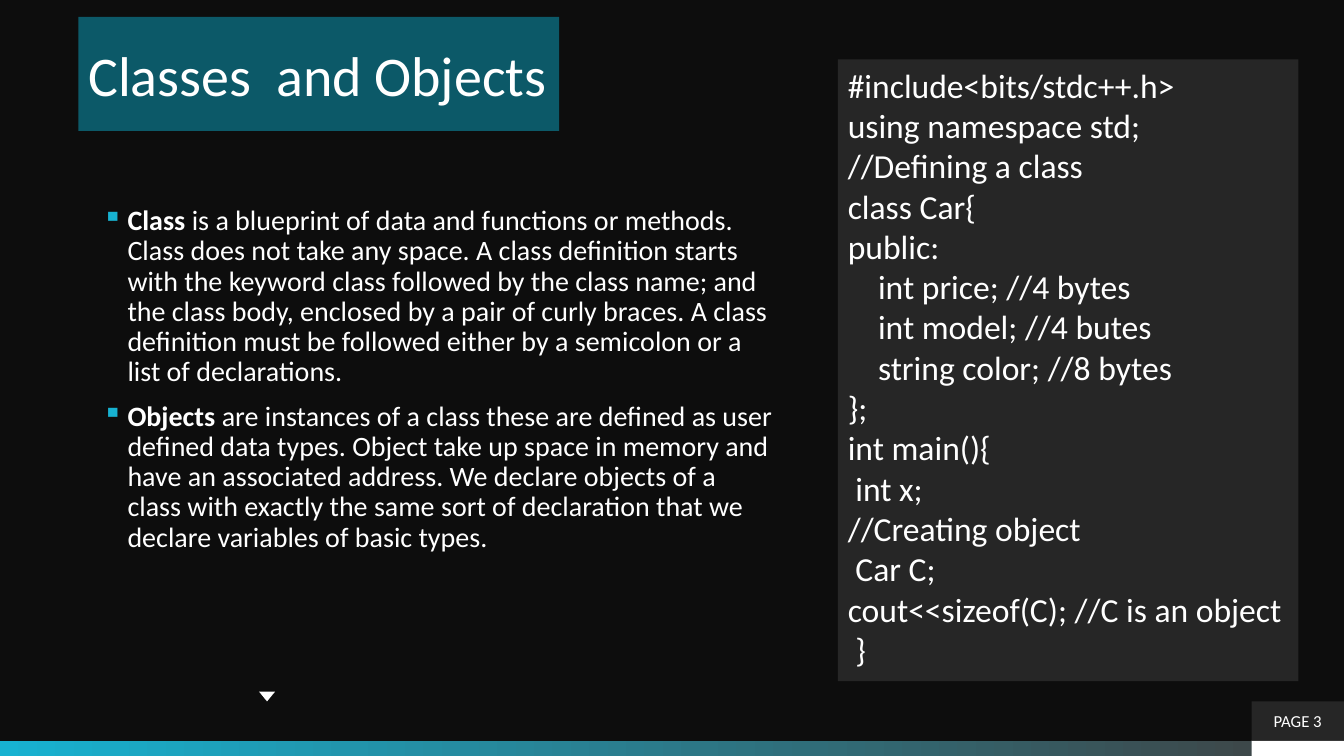
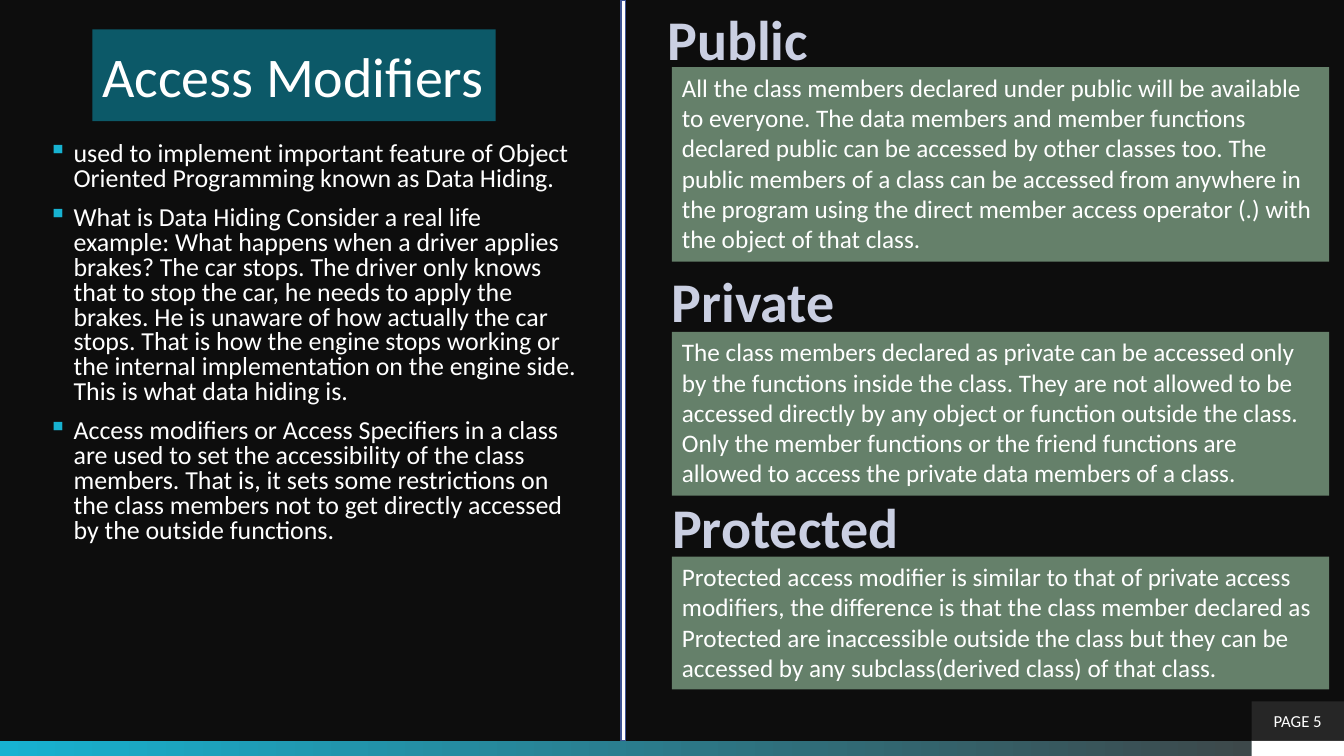
from lxml.etree import SubElement
from pptx import Presentation
from pptx.dml.color import RGBColor
from pptx.enum.shapes import MSO_SHAPE as Preset
from pptx.enum.text import MSO_ANCHOR as Anchor, PP_ALIGN as Align
from pptx.oxml.ns import qn
from pptx.util import Pt

# Shared look
FONT = "Calibri"
BACKGROUND = RGBColor(0x0D, 0x0D, 0x0D)
WHITE = RGBColor(0xFF, 0xFF, 0xFF)
CYAN = RGBColor(0x17, 0xB2, 0xD1)
GRAY = RGBColor(0x40, 0x40, 0x40)
PANEL = RGBColor(0x26, 0x26, 0x26)
TEAL = RGBColor(0x0C, 0x59, 0x68)
GREEN = RGBColor(0x65, 0x80, 0x6A)
LAVENDER = RGBColor(0xCA, 0xCF, 0xE2)
DIVIDER_EDGE = RGBColor(0x3D, 0x53, 0x92)

WIDTH, HEIGHT = 960, 540
BAND_TOP, BAND_HEIGHT = 529, 11
BADGE_WIDTH, BADGE_HEIGHT = 66, 28
BULLET_INDENT = 18
CARD_LEFT, CARD_WIDTH, CARD_LINE, CARD_PADDING = 480, 469.5, 22, 7

# Content: bullets are (bold lead, text); code lines are (indent, text)
CLASS_BULLETS = [
    ("Class", " is a blueprint of data and functions or methods. Class does not "
     "take any space. A class definition starts with the keyword class followed "
     "by the class name; and the class body, enclosed by a pair of curly braces. "
     "A class definition must be followed either by a semicolon or a list of "
     "declarations."),
    ("Objects", " are instances of a class these are defined as user defined data "
     "types. Object take up space in memory and have an associated address. We "
     "declare objects of a class with exactly the same sort of declaration that "
     "we declare variables of basic types."),
]
CODE_LINES = [
    (0, "#include<bits/stdc++.h>"),
    (0, "using namespace std;"),
    (0, "//Defining a class"),
    (0, "class Car{"),
    (0, "public:"),
    (4, "int price; //4 bytes"),
    (4, "int model; //4 butes"),
    (4, "string color; //8 bytes"),
    (0, "};"),
    (0, "int main(){"),
    (1, "int x;"),
    (0, "//Creating object"),
    (1, "Car C;"),
    (0, "cout<<sizeof(C); //C is an object"),
    (1, "}"),
]
CODE_INDENT = 5.4
MODIFIER_BULLETS = [
    ("", "used to implement important feature of Object Oriented Programming known "
     "as Data Hiding."),
    ("", "What is Data Hiding Consider a real life example: What happens when a "
     "driver applies brakes? The car stops. The driver only knows that to stop the "
     "car, he needs to apply the brakes. He is unaware of how actually the car "
     "stops. That is how the engine stops working or the internal implementation "
     "on the engine side. This is what data hiding is."),
    ("", "Access modifiers or Access Specifiers in a class are used to set the "
     "accessibility of the class members. That is, it sets some restrictions on "
     "the class members not to get directly accessed by the outside functions."),
]
# Heading, its left, top and width, card top, card line count, card text
MODIFIERS = [
    ("Public", 444, 0, 166, 48, 6,
     "All the class members declared under public will be available to everyone. "
     "The data members and member functions declared public can be accessed by "
     "other classes too. The public members of a class can be accessed from "
     "anywhere in the program using the direct member access operator (.) with the "
     "object of that class."),
    ("Private", 472, 187, 132, 237, 5,
     "The class members declared as private can be accessed only by the functions "
     "inside the class. They are not allowed to be accessed directly by any object "
     "or function outside the class. Only the member functions or the friend "
     "functions are allowed to access the private data members of a class."),
    ("Protected", 472, 348, 178, 397.5, 4,
     "Protected access modifier is similar to that of private access modifiers, "
     "the difference is that the class member declared as Protected are "
     "inaccessible outside the class but they can be accessed by any "
     "subclass(derived class) of that class."),
]


def style_run(run, size, color=WHITE, bold=False):
    run.font.name = FONT
    run.font.size = Pt(size)
    run.font.color.rgb = color
    run.font.bold = bold


def set_text(shape, text, size, anchor=Anchor.TOP, align=Align.LEFT,
             color=WHITE, bold=False, wrap=True):
    """Write one paragraph per line of text, all in one style."""
    frame = shape.text_frame
    frame.text = text
    frame.word_wrap = wrap
    frame.vertical_anchor = anchor
    for paragraph in frame.paragraphs:
        paragraph.alignment = align
        for run in paragraph.runs:
            style_run(run, size, color, bold)


def add_box(slide, left, top, width, height, fill, preset=Preset.RECTANGLE):
    shape = slide.shapes.add_shape(preset, Pt(left), Pt(top), Pt(width), Pt(height))
    shape.shadow.inherit = False
    shape.fill.solid()
    shape.fill.fore_color.rgb = fill
    shape.line.fill.background()
    return shape


def add_title(slide, text, left, top, width, height):
    title = add_box(slide, left, top, width, height, TEAL)
    set_text(title, text, 40, Anchor.MIDDLE)


def add_bullets(slide, bullets, left, top, width, height, size, spacing):
    box = slide.shapes.add_textbox(Pt(left), Pt(top), Pt(width), Pt(height))
    frame = box.text_frame
    frame.word_wrap = True
    for index, (lead, text) in enumerate(bullets):
        paragraph = frame.add_paragraph() if index else frame.paragraphs[0]
        paragraph.line_spacing = spacing
        paragraph.space_before = Pt(10)
        for part, bold in ((lead, True), (text, False)):
            if part:
                run = paragraph.add_run()
                run.text = part
                style_run(run, size, bold=bold)
        # Square bullet with a hanging indent
        properties = paragraph._p.get_or_add_pPr()
        properties.set("marL", str(Pt(BULLET_INDENT)))
        properties.set("indent", str(-Pt(BULLET_INDENT)))
        bullet_color = SubElement(properties, qn("a:buClr"))
        SubElement(bullet_color, qn("a:srgbClr")).set("val", str(CYAN))
        SubElement(properties, qn("a:buChar")).set("char", "▪")


def add_code(slide, lines, left, top, width, height):
    panel = add_box(slide, left, top, width, height, PANEL)
    set_text(panel, "\n".join(text for _, text in lines), 24)
    for paragraph, (indent, _) in zip(panel.text_frame.paragraphs, lines):
        if indent:
            margin = Pt(indent * CODE_INDENT)
            paragraph._p.get_or_add_pPr().set("marL", str(margin))


def add_modifier(slide, heading, left, top, width, card_top, line_count, text):
    label = slide.shapes.add_textbox(Pt(left), Pt(top), Pt(width), Pt(55.5))
    set_text(label, heading, 40, align=Align.CENTER, color=LAVENDER,
             bold=True, wrap=False)
    card_height = line_count * CARD_LINE + CARD_PADDING
    card = add_box(slide, CARD_LEFT, card_top, CARD_WIDTH, card_height, GREEN)
    set_text(card, text, 18)


def add_slide(presentation, page):
    """Start a slide with the background, bottom band and page badge."""
    slide = presentation.slides.add_slide(presentation.slide_layouts[6])
    slide.background.fill.solid()
    slide.background.fill.fore_color.rgb = BACKGROUND
    band = add_box(slide, 0, BAND_TOP, WIDTH, BAND_HEIGHT, CYAN)
    band.fill.gradient()
    band.fill.gradient_angle = 0
    for stop, color, position in zip(band.fill.gradient_stops, (CYAN, GRAY), (0, 1)):
        stop.color.rgb = color
        stop.position = position
    badge_left = WIDTH - BADGE_WIDTH
    add_box(slide, badge_left, BAND_TOP, BADGE_WIDTH, BAND_HEIGHT, WHITE)
    badge = add_box(slide, badge_left, BAND_TOP - BADGE_HEIGHT,
                    BADGE_WIDTH, BADGE_HEIGHT, PANEL)
    set_text(badge, f"PAGE {page}", 12, Anchor.MIDDLE, Align.CENTER)
    return slide


def build_classes_slide(presentation):
    slide = add_slide(presentation, 3)
    add_title(slide, "Classes  and Objects", 56, 12, 343.5, 81.5)
    add_bullets(slide, CLASS_BULLETS, 66, 144, 494, 343, 20, 0.9)
    marker = add_box(slide, 185, 494, 11.5, 7, WHITE, Preset.ISOSCELES_TRIANGLE)
    marker.rotation = 180
    add_code(slide, CODE_LINES, 598.5, 42.5, 329, 444)


def build_modifiers_slide(presentation):
    slide = add_slide(presentation, 5)
    add_title(slide, "Access Modifiers", 66, 21, 288, 65.5)
    add_bullets(slide, MODIFIER_BULLETS, 27.5, 98.5, 394, 343, 18.5, 0.8)
    divider = add_box(slide, 443.5, 0, 3.5, BAND_TOP, WHITE)
    divider.line.color.rgb = DIVIDER_EDGE
    divider.line.width = Pt(1)
    for modifier in MODIFIERS:
        add_modifier(slide, *modifier)


def main():
    presentation = Presentation()
    presentation.slide_width = Pt(WIDTH)
    presentation.slide_height = Pt(HEIGHT)
    build_classes_slide(presentation)
    build_modifiers_slide(presentation)
    presentation.save("out.pptx")


if __name__ == "__main__":
    main()
